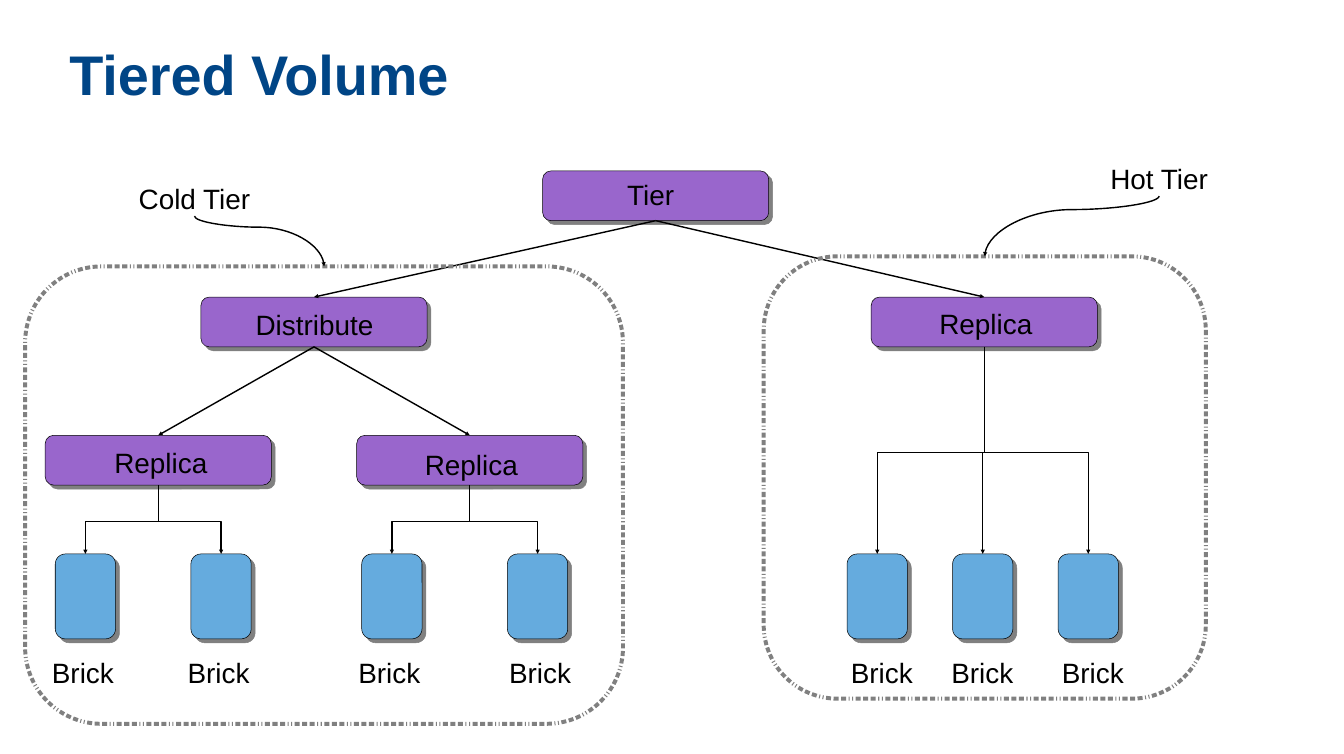
from pptx import Presentation
from pptx.dml.color import RGBColor
from pptx.enum.shapes import MSO_CONNECTOR as Link, MSO_SHAPE as Shape
from pptx.enum.text import MSO_ANCHOR as Anchor, MSO_AUTO_SIZE as AutoSize, PP_ALIGN as Align
from pptx.oxml.ns import qn
from pptx.util import Inches, Pt
from lxml.etree import SubElement

BLACK = RGBColor(0, 0, 0)
NAVY = RGBColor(0x00, 0x45, 0x86)
PURPLE = RGBColor(0x99, 0x66, 0xCC)
BLUE = RGBColor(0x65, 0xAB, 0xDE)
GRAY = RGBColor(0x80, 0x80, 0x80)

# Grid: square cells, 26.75 columns by 15 rows
CELL = Inches(1)
NODE_W, NODE_H = 4.5, 0.99
BRICK_W, BRICK_H, BRICK_TOP = 1.2, 1.69, 11.02
CORNER = 0.167

deck = Presentation()
deck.slide_width, deck.slide_height = int(26.75 * CELL), 15 * CELL
slide = deck.slides.add_slide(deck.slide_layouts[5])
shapes = slide.shapes


def write(holder, text, size=40, color=BLACK, bold=False, align=Align.CENTER,
          anchor=Anchor.TOP, inset=(0.1, 0.05)):
    frame = holder.text_frame
    frame.word_wrap = True
    frame.auto_size = AutoSize.SHAPE_TO_FIT_TEXT
    frame.vertical_anchor = anchor
    frame.margin_left = frame.margin_right = Inches(inset[0])
    frame.margin_top = frame.margin_bottom = Inches(inset[1])
    paragraph = frame.paragraphs[0]
    paragraph.alignment = align
    run = paragraph.add_run()
    run.text = text
    run.font.name, run.font.size, run.font.bold = "Arial", Pt(size), bold
    run.font.color.rgb = color


def connect(kind, start, end, bend=None):
    """Draw an arrow; one with a bend leaves and arrives vertically."""
    (x1, y1), (x2, y2) = start, end
    corners = [x1, y1, x2, y2]
    if bend is not None:
        mid_x, mid_y = (x1 + x2) / 2, (y1 + y2) / 2
        half_w, half_h = (y2 - y1) / 2, abs(x2 - x1) / 2
        corners = [mid_x - half_w, mid_y - half_h, mid_x + half_w, mid_y + half_h]
    arrow = shapes.add_connector(kind, *[int(v * CELL) for v in corners])
    arrow.line.color.rgb = BLACK
    arrow.line.width = Pt(0)
    properties = arrow.element.spPr
    if bend is not None:
        turn = properties.find(qn("a:xfrm"))
        turn.set("rot", str((270 if x2 > x1 else 90) * 60000))
        if x2 > x1:
            turn.set("flipH", "1")
        guides = properties.find(qn("a:prstGeom")).find(qn("a:avLst"))
        SubElement(guides, qn("a:gd"), name="adj1", fmla=f"val {round(bend * 100000)}")
    SubElement(properties.find(qn("a:ln")), qn("a:tailEnd"), type="triangle")
    SubElement(properties, qn("a:effectLst"))


# Title
title = shapes.title
title.left, title.top, title.width, title.height = [
    int(v * CELL) for v in (1.38, 0.2, 24.02, 2.5)]
write(title, "Tiered Volume", size=80, color=NAVY, bold=True, align=Align.LEFT,
      anchor=Anchor.MIDDLE, inset=(0, 0))

# Volume nodes and bricks
tier, distribute, hot_replica = (10.8, 3.4), (4, 5.91), (17.34, 5.91)
cold_replicas = [(0.9, 8.66), (7.1, 8.66)]
cold_bricks = [(1.1, 3.8), (7.2, 10.1)]
hot_bricks = [16.86 + 2.1 * i for i in range(3)]
nodes = [tier, distribute, hot_replica, *cold_replicas]
bricks = [*cold_bricks[0], *cold_bricks[1], *hot_bricks]
blocks = [(x, y, NODE_W, NODE_H, PURPLE) for x, y in nodes]
blocks += [(x, BRICK_TOP, BRICK_W, BRICK_H, BLUE) for x in bricks]
for *place, color in blocks:
    block = shapes.add_shape(Shape.ROUNDED_RECTANGLE, *[int(v * CELL) for v in place])
    block.adjustments[0] = CORNER
    block.fill.solid()
    block.fill.fore_color.rgb = color
    block.line.color.rgb = BLACK
    block.line.width = Pt(0.75)
    block.shadow.inherit = False
    effects = block.element.spPr.find(qn("a:effectLst"))
    shadow = SubElement(effects, qn("a:outerShdw"), blurRad="0", dist=str(Pt(8)),
                        dir=str(45 * 60000), algn="tl", rotWithShape="0")
    SubElement(shadow, qn("a:srgbClr"), val=str(GRAY))

# Straight arrows between nodes
for parent, children in [(tier, [distribute, hot_replica]), (distribute, cold_replicas)]:
    for x, y in children:
        connect(Link.STRAIGHT, (parent[0] + NODE_W / 2, parent[1] + NODE_H),
                (x + NODE_W / 2, y))

# Elbow arrows from replicas to their bricks
for replica, members, bend in [(cold_replicas[0], cold_bricks[0], 0.529),
                               (cold_replicas[1], cold_bricks[1], 0.529),
                               (hot_replica, hot_bricks, 0.51)]:
    for x in members:
        connect(Link.ELBOW, (replica[0] + NODE_W / 2, replica[1] + NODE_H),
                (x + BRICK_W / 2, BRICK_TOP), bend)

# Dashed frames around the hot and cold tiers: three dashes, two fine dots
for place in [(15.2, 5.1, 8.8, 8.8), (0.5, 5.3, 11.9, 9.1)]:
    frame = shapes.add_shape(Shape.ROUNDED_RECTANGLE, *[int(v * CELL) for v in place])
    frame.adjustments[0] = CORNER
    frame.fill.background()
    frame.line.color.rgb = GRAY
    frame.line.width = Pt(5.67)
    frame.shadow.inherit = False
    dashes = SubElement(frame.element.spPr.find(qn("a:ln")), qn("a:custDash"))
    for length in [25000] * 2 + [127000] * 3:
        SubElement(dashes, qn("a:ds"), d=str(length), sp="63000")

# Labels: text, left, top, width
labels = [("Replica", 18.22, 6.04, 2.8), ("Tier", 12.1, 3.48, 1.7),
          ("Distribute", 4.71, 6.06, 3.1), ("Replica", 1.8, 8.82, 2.8),
          ("Replica", 7.98, 8.86, 2.8), ("Hot Tier", 21.24, 3.16, 3.66),
          ("Cold Tier", 2.04, 3.56, 3.66)]
labels += [("Brick", x, 12.99, 1.7) for x in (0.8, 3.5, 6.9, 9.9, 16.7, 18.7, 20.9)]
for text, *place in labels:
    label = shapes.add_textbox(*[int(v * CELL) for v in (*place, 0.72)])
    write(label, text)

# Curved arrows from tier labels to their frames
connect(Link.CURVE, (3.87, 4.3), (6.45, 5.3), 0.22)
connect(Link.CURVE, (23.07, 3.9), (19.6, 5.1), 0.225)

deck.save("out.pptx")
